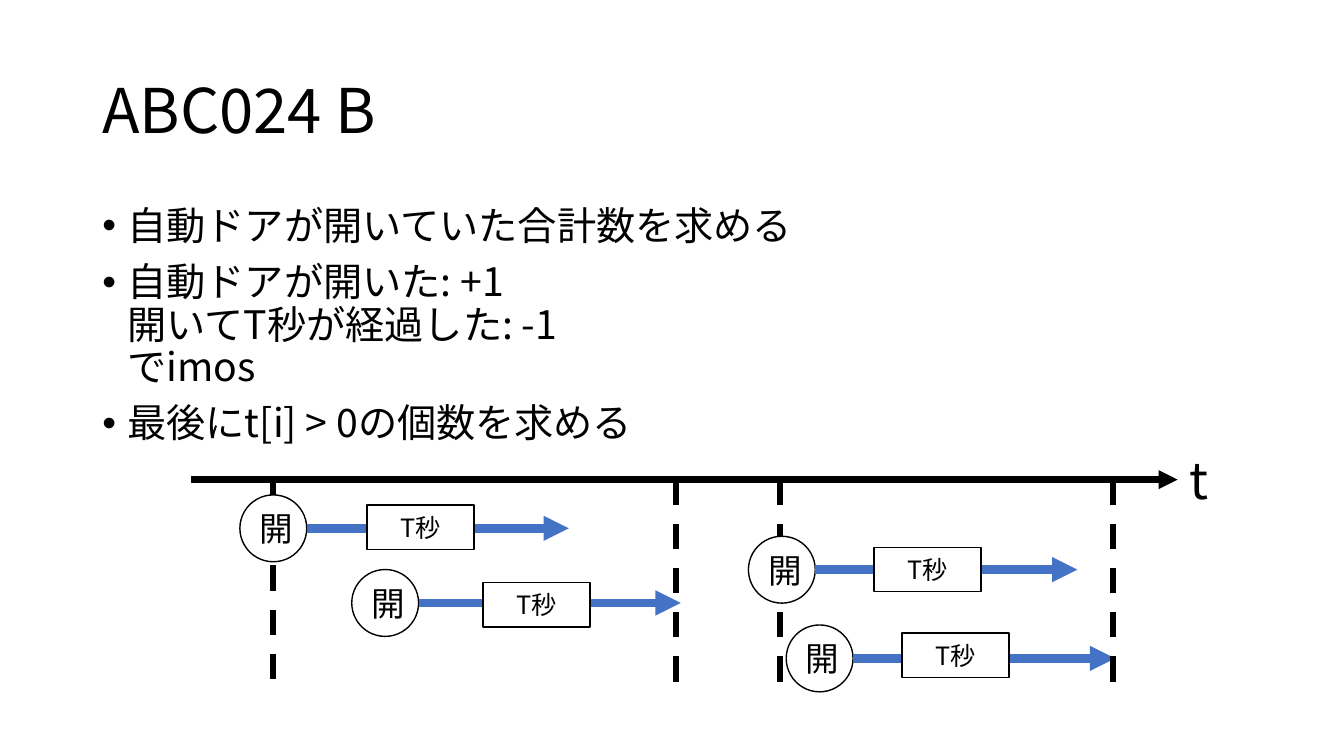
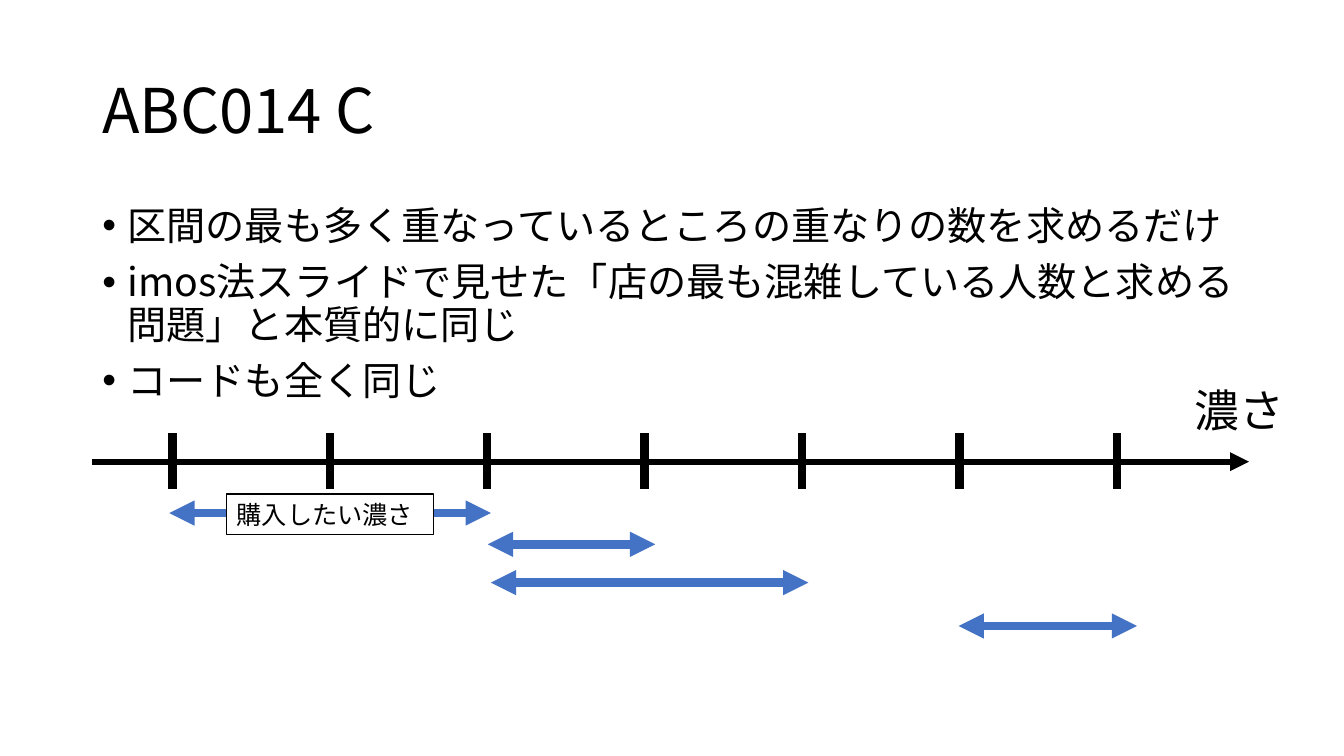
import pptx
import pptx.util
import pptx.dml.color
import pptx.enum.dml
import pptx.enum.lang
import pptx.enum.shapes
import pptx.enum.text
import pptx.oxml.ns
import lxml.etree


class Theme:
    font = "Noto Sans CJK JP"
    ink = pptx.dml.color.RGBColor(0x00, 0x00, 0x00)
    paper = pptx.dml.color.RGBColor(0xFF, 0xFF, 0xFF)
    accent = pptx.dml.color.RGBColor(0x44, 0x72, 0xC4)
    title, axis, unit, body, door, label = 44, 36, 32, 28, 24, 18
    outline, stroke, thick = 1, 4.5, 6


qn = pptx.oxml.ns.qn
MID = pptx.enum.text.MSO_ANCHOR.MIDDLE
CENTER = pptx.enum.text.PP_ALIGN.CENTER
OVAL = pptx.enum.shapes.MSO_SHAPE.OVAL
RECT = pptx.enum.shapes.MSO_SHAPE.RECTANGLE

prs = pptx.Presentation()
prs.slide_width = pptx.util.Inches(13.33)
prs.slide_height = pptx.util.Inches(7.5)
COL = prs.slide_width / 160
ROW = prs.slide_height / 90


def add_line(s, x1, y1, x2, y2, color, width, ends=(), dash=None):
    sp = s.shapes.add_connector(
        pptx.enum.shapes.MSO_CONNECTOR.STRAIGHT,
        int(x1 * COL), int(y1 * ROW), int(x2 * COL), int(y2 * ROW))
    sp.line.color.rgb = color
    sp.line.width = pptx.util.Pt(width)
    if dash:
        sp.line.dash_style = dash
    ln = sp.line._get_or_add_ln()
    for end in ends:
        lxml.etree.SubElement(ln, qn("a:" + end), type="triangle")
    lxml.etree.SubElement(sp._element.spPr, qn("a:effectLst"))


def add_text(s, x, y, w, h, paras, size, shape=None, anchor=None, align=None,
             spacing=None, bullet=False):
    box = int(x * COL), int(y * ROW), int(w * COL), int(h * ROW)
    if shape is None:
        sp = s.shapes.add_textbox(*box)
    else:
        sp = s.shapes.add_shape(shape, *box)
        sp.shadow.inherit = False
        sp.fill.solid()
        sp.fill.fore_color.rgb = Theme.paper
        sp.line.color.rgb = Theme.ink
        sp.line.width = pptx.util.Pt(Theme.outline)
    tf = sp.text_frame
    tf.word_wrap = True
    tf.vertical_anchor = anchor or pptx.enum.text.MSO_ANCHOR.TOP
    for i, lines in enumerate(paras):
        p = tf.add_paragraph() if i else tf.paragraphs[0]
        p.alignment = align or pptx.enum.text.PP_ALIGN.LEFT
        if spacing:
            p.line_spacing = spacing
        if bullet:
            p.space_before = pptx.util.Pt(10)
            pPr = p._p.get_or_add_pPr()
            pPr.set("marL", str(pptx.util.Inches(0.25)))
            pPr.set("indent", str(-pptx.util.Inches(0.25)))
            lxml.etree.SubElement(pPr, qn("a:buFont"), typeface="Arial")
            lxml.etree.SubElement(pPr, qn("a:buChar"), char="•")
        for j, line in enumerate(lines):
            if j:
                p.add_line_break()
            r = p.add_run()
            r.text = line
            r.font.size = pptx.util.Pt(size)
            r.font.name = Theme.font
            r.font.color.rgb = Theme.ink
            r.font.language_id = pptx.enum.lang.MSO_LANGUAGE_ID.JAPANESE
            lxml.etree.SubElement(r.font._element, qn("a:ea"), typeface=Theme.font)


pages = [
    ("ABC024 B", [
        ["自動ドアが開いていた合計数を求める"],
        ["自動ドアが開いた: +1", "開いてT秒が経過した: -1", "でimos"],
        ["最後にt[i] > 0の個数を求める"]]),
    ("ABC014 C", [
        ["区間の最も多く重なっているところの重なりの数を求めるだけ"],
        ["imos法スライドで見せた「店の最も混雑している人数と求める問題」と本質的に同じ"],
        ["コードも全く同じ"]]),
]
for title, bullets in pages:
    s = prs.slides.add_slide(prs.slide_layouts[6])
    add_text(s, 11, 4.8, 138, 17.4, [[title]], Theme.title, anchor=MID, spacing=0.9)
    add_text(s, 11, 24, 138, 57.1, bullets, Theme.body, spacing=0.9, bullet=True)
doors_slide, ranges_slide = prs.slides

s = doors_slide
axis_y, drop = 57.1, 24.36
back_marks = [(92.9, axis_y), (32.5, 56.8)]
front_marks = [(80.5, axis_y), (132.5, axis_y)]
doors = [
    (28.56, 58.92, 43.68, 60.12),
    (41.88, 67.8, 57.48, 69.36),
    (93.6, 74.4, 107.4, 75.36),
    (89.1, 63.84, 104.04, 65.16),
]
door_d, open_len = 7.96, 31.2
dash = pptx.enum.dml.MSO_LINE.DASH
for x, y in back_marks:
    add_line(s, x, y, x, y + drop, Theme.ink, Theme.stroke, dash=dash)
add_line(s, 22.8, axis_y, 140.2, axis_y, Theme.ink, Theme.stroke, ["tailEnd"])
add_text(s, 140.4, 52.9, 5.8, 8.5, [["t"]], Theme.axis)
for x, y, label_x, label_y in doors:
    start, mid = x + door_d, y + door_d / 2
    add_text(s, x, y, door_d, door_d, [["開"]], Theme.door, OVAL, MID, CENTER)
    add_line(s, start, mid, start + open_len, mid, Theme.accent, Theme.thick, ["tailEnd"])
    add_text(s, label_x, label_y, 12.75, 5.3, [["T秒"]], Theme.label, RECT, MID, CENTER)
for x, y in front_marks:
    add_line(s, x, y, x, y + drop, Theme.ink, Theme.stroke, dash=dash)

s = ranges_slide
ranges = [
    (20.16, 58.44, 61.08),
    (58.08, 78, 64.8),
    (58.44, 96.24, 69.36),
    (114.12, 135.36, 74.52),
]
add_line(s, 11, 54.96, 148.7, 54.96, Theme.ink, Theme.stroke, ["tailEnd"])
for i in range(7):
    x = 20.52 + 18.74 * i
    add_line(s, x, 51.6, x, 58.2, Theme.ink, Theme.thick)
for x1, x2, y in ranges:
    add_line(s, x1, y, x2, y, Theme.accent, Theme.thick, ["headEnd", "tailEnd"])
add_text(s, 141, 45, 14.1, 7.7, [["濃さ"]], Theme.unit)
add_text(s, 27, 58.8, 24.6, 4.85, [["購入したい濃さ"]], Theme.label, RECT)

prs.save("out.pptx")
